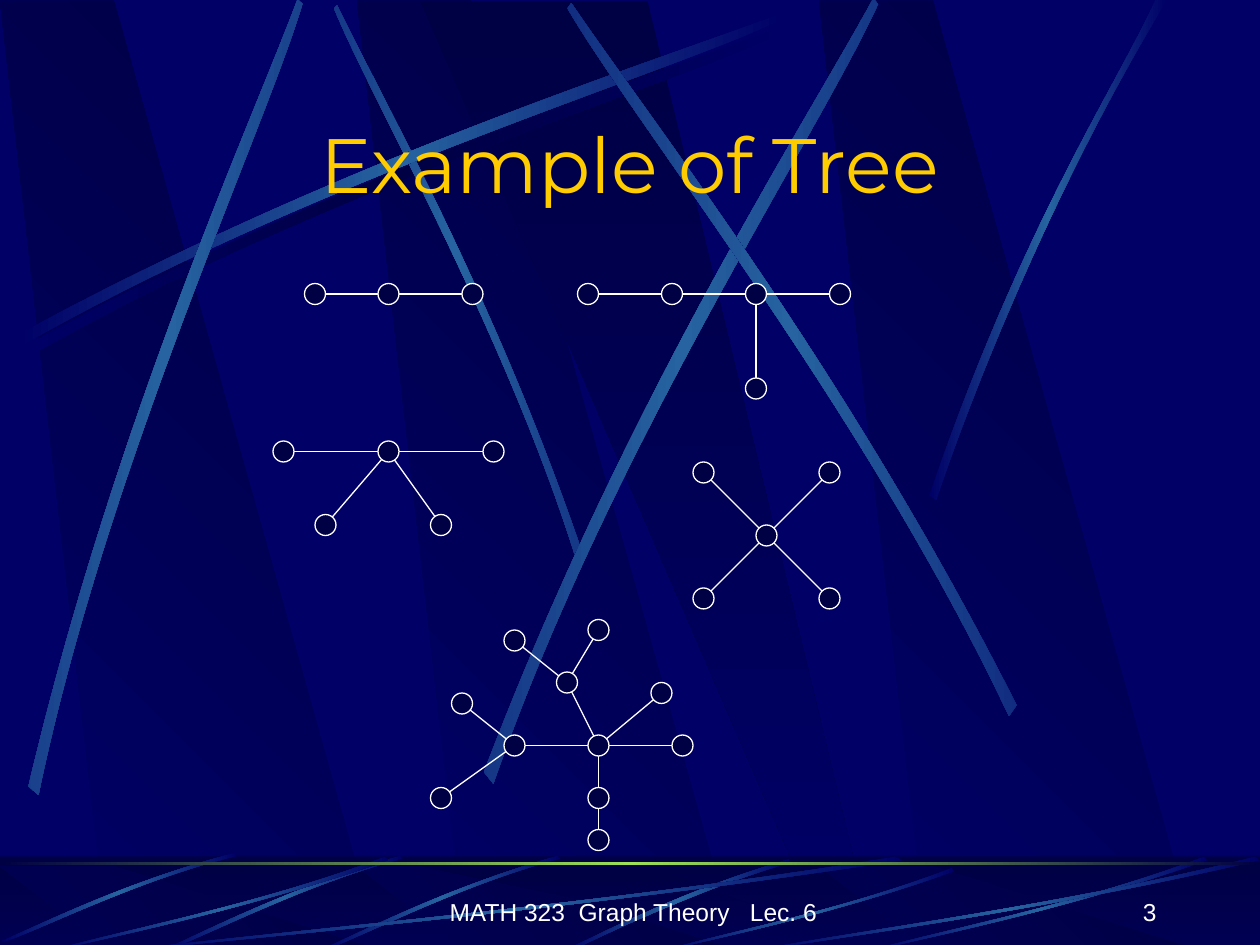
from pptx import Presentation
from pptx.dml.color import RGBColor
from pptx.enum.shapes import MSO_CONNECTOR, MSO_SHAPE
from pptx.enum.text import MSO_ANCHOR, PP_ALIGN
from pptx.oxml import parse_xml
from pptx.oxml.ns import nsdecls, qn
from pptx.util import Pt

NIGHT, DEEP, STEEL, LIME = "000066", "000044", "2663A0", "9CE157"
WHITE, GOLD = "FFFFFF", "FFCC00"
GLOW = (NIGHT, STEEL, NIGHT)
SHADE = (NIGHT, DEEP, NIGHT)

# Outlines as fractions of their box
BEAM = [(0.285, 1), (1, 1), (0.3, 0), (0, 0)]
WEDGE = [(0, 0), (0.9, 1), (1, 1), (0.5, 0)]

# Curved streaks: one Bezier out (4 points) and one back (4 points)
BLADE = [(0, 0.96), (0.43, 0.43), (0.83, 0.15), (1, 0),
         (1, 0.02), (0.84, 0.19), (0.38, 0.5), (0, 1)]
SPIKE = [(0, 0.99), (0.4, 0.44), (0.79, 0.17), (0.95, 0),
         (1, 0), (0.52, 0.37), (0.16, 0.81), (0.03, 1)]
SWEEP = [(0.99, 0), (0.49, 0.37), (0.16, 0.82), (0, 0.99),
         (0.03, 1), (0.23, 0.75), (0.68, 0.25), (1, 0.04)]
REED = [(1, 0.04), (0.57, 0.57), (0.17, 0.85), (0, 1),
        (0, 0.99), (0.17, 0.81), (0.62, 0.51), (0.99, 0)]

# Outline, box, rotation, mirrored, colours
WALL_STREAKS = [
    (BLADE, (14.4, 13, 438, 192), 0, False, SHADE),
    (BLADE, (101.5, 97, 318, 126), 45, True, GLOW),
    (BLADE, (10, 7, 438, 192), 0, False, GLOW),
    (BLADE, (-123, 131, 438, 192), 311.7, False, GLOW),
    (BLADE, (166, 115, 449, 217), 321.6, False, GLOW),
    (BLADE, (232.5, 109.5, 438, 192), 34.8, True, GLOW),
    (SPIKE, (531, 0, 136, 286), 0, False, GLOW),
]
FLOOR_STREAKS = [
    (SWEEP, (322.5, 491, 129.5, 52.5), 0, False, GLOW),
    (BLADE, (186, 486.5, 132.5, 60), 314.9, True, GLOW),
    (BLADE, (96, 486.5, 132.5, 60), 314.9, True, GLOW),
    (BLADE, (3.5, 483, 129, 61), 314.9, True, GLOW),
    (REED, (72, 489.5, 444, 54), 0, False, GLOW),
    (REED, (30, 489.5, 192, 54), 0, False, GLOW),
    (REED, (379.5, 496, 166, 47.5), 0, False, GLOW),
    (REED, (498, 489.5, 192, 54), 0, False, GLOW),
    (REED, (432, 489.5, 288, 54), 0, False, GLOW),
]

# Corner of each tree, its vertex centres, and edges as vertex pairs
TREES = [
    ((174, 162), [(6, 6), (48, 6), (96, 6)], [(0, 2)]),
    ((330, 162), [(6, 6), (54, 6), (102, 6), (150, 6), (102, 60)],
     [(0, 3), (2, 4)]),
    ((156, 252), [(6, 6), (66, 6), (126, 6), (30, 48), (96, 48)],
     [(0, 2), (1, 3), (1, 4)]),
    ((396, 264), [(6, 6), (78, 6), (6, 78), (78, 78), (42, 42)],
     [(0, 3), (2, 1)]),
    ((246, 354),
     [(96, 72), (144, 72), (132, 42), (78, 36), (48, 12), (96, 6),
      (18, 48), (48, 72), (6, 102), (96, 102), (96, 126)],
     [(0, 2), (3, 5), (3, 4), (0, 3), (7, 6), (7, 8), (10, 0), (7, 1)]),
]
VERTEX_SIZE = 12


def color(value):
    return RGBColor.from_string(value)


def fill_gradient(shape, colors, angle):
    """Fill with evenly spaced colours; angle is clockwise in degrees."""
    stops = "".join(
        f'<a:gs pos="{100000 * i // (len(colors) - 1)}"><a:srgbClr val="{c}"/></a:gs>'
        for i, c in enumerate(colors))
    shape.fill.background()
    blank = shape._element.spPr.find(qn("a:noFill"))
    blank.getparent().replace(blank, parse_xml(
        f'<a:gradFill {nsdecls("a")} rotWithShape="0"><a:gsLst>{stops}</a:gsLst>'
        f'<a:lin ang="{angle * 60000}" scaled="0"/></a:gradFill>'))
    shape.line.fill.background()
    shape.shadow.inherit = False


def add_outline(shapes, outline, box, colors, angle):
    left, top, width, height = box
    points = [(Pt(left + u * width), Pt(top + v * height)) for u, v in outline]
    builder = shapes.build_freeform(*points[0], scale=1.0)
    builder.add_line_segments(points[1:], close=True)
    shape = builder.convert_to_shape()
    fill_gradient(shape, colors, angle)
    return shape


def add_streak(shapes, controls, box, rotation, mirrored, colors):
    corners = [(0, 0), (1, 0), (1, 1), (0, 1)]
    shape = add_outline(shapes, corners, box, colors, 0)
    # Bend the outline: a curve out, a short tip, a curve back
    marks = [f'<a:pt x="{round((1 - u if mirrored else u) * shape.width)}" '
             f'y="{round(v * shape.height)}"/>' for u, v in controls]
    outline = shape._element.spPr.find(".//" + qn("a:path"))
    outline.getparent().replace(outline, parse_xml(
        f'<a:path {nsdecls("a")} w="{shape.width}" h="{shape.height}">'
        f'<a:moveTo>{marks[0]}</a:moveTo>'
        f'<a:cubicBezTo>{"".join(marks[1:4])}</a:cubicBezTo>'
        f'<a:lnTo>{marks[4]}</a:lnTo>'
        f'<a:cubicBezTo>{"".join(marks[5:])}</a:cubicBezTo><a:close/></a:path>'))
    shape.rotation = rotation


def add_band(shapes, box):
    return shapes.add_shape(MSO_SHAPE.RECTANGLE, *map(Pt, box))


def add_beams(shapes, top, height):
    for left in (204, 0, 468):
        add_outline(shapes, BEAM, (left, top, 217, height), (NIGHT, DEEP), 315)
    add_outline(shapes, WEDGE, (240, top, 260, height), (DEEP, NIGHT), 90)


def add_wall(shapes):
    add_beams(shapes, 0.5, 541)
    for streak in WALL_STREAKS:
        add_streak(shapes, *streak)


def add_floor(shapes, box):
    left, top, width, height = box
    fill_gradient(add_band(shapes, box), (DEEP, NIGHT), 90)
    add_beams(shapes, top + 5.5, 48)
    # Half-transparent veil over the beams
    veil = add_band(shapes, (left, top - 0.5, width, height))
    veil.fill.solid()
    veil.fill.fore_color.rgb = color(DEEP)
    veil.line.fill.background()
    veil.shadow.inherit = False
    tint = veil._element.spPr.find(qn("a:solidFill"))[0]
    tint.append(parse_xml(f'<a:alpha {nsdecls("a")} val="50000"/>'))
    for streak in FLOOR_STREAKS:
        add_streak(shapes, *streak)
    # Horizon line
    fill_gradient(add_band(shapes, (left, top + 3, width, 1.75)), (DEEP, LIME, DEEP), 0)


def add_backdrop(slide, master):
    """Build the scenery as one group and hand it to the master."""
    master.background.fill.solid()
    master.background.fill.fore_color.rgb = color(NIGHT)
    scenery = slide.shapes.add_group_shape()
    add_wall(scenery.shapes)
    add_floor(scenery.shapes, (0, 489.5, 720, 54))
    master.shapes._spTree.append(scenery._element)


def format_text(shape, text, align, anchor, font, size, ink):
    frame = shape.text_frame
    frame.text = text
    frame.word_wrap = True
    frame.vertical_anchor = anchor
    para = frame.paragraphs[0]
    para.alignment = align
    span = para.runs[0]
    span.font.name, span.font.size = font, Pt(size)
    span.font.color.rgb = color(ink)


def add_footer(slide, box, text, align):
    note = slide.shapes.add_textbox(*map(Pt, box))
    format_text(note, text, align, MSO_ANCHOR.BOTTOM, "Arial", 14, WHITE)


def add_title(slide, box, text):
    title = slide.shapes.title
    title.left, title.top, title.width, title.height = map(Pt, box)
    format_text(title, text, PP_ALIGN.CENTER, MSO_ANCHOR.MIDDLE, "Montserrat", 44, GOLD)


def add_tree(slide, corner, vertices, edges):
    centres = [(corner[0] + x, corner[1] + y) for x, y in vertices]
    for start, end in edges:
        edge = slide.shapes.add_connector(
            MSO_CONNECTOR.STRAIGHT, *map(Pt, centres[start] + centres[end]))
        edge.line.color.rgb = color(WHITE)
        edge.line.width = Pt(0.75)
        edge._element.spPr.append(parse_xml(f'<a:effectLst {nsdecls("a")}/>'))
    for x, y in centres:
        vertex = slide.shapes.add_shape(
            MSO_SHAPE.OVAL, Pt(x - VERTEX_SIZE / 2), Pt(y - VERTEX_SIZE / 2),
            Pt(VERTEX_SIZE), Pt(VERTEX_SIZE))
        vertex.fill.solid()
        vertex.fill.fore_color.rgb = color(DEEP)
        vertex.line.color.rgb = color(WHITE)
        vertex.line.width = Pt(0.75)
        vertex.shadow.inherit = False


def main():
    deck = Presentation()
    deck.slide_width, deck.slide_height = Pt(720), Pt(540)
    slide = deck.slides.add_slide(deck.slide_layouts[5])
    add_backdrop(slide, deck.slide_master)
    # Footer and title
    add_footer(slide, (248, 497, 228, 36), "MATH 323  Graph Theory   Lec. 6", PP_ALIGN.CENTER)
    add_footer(slide, (518, 497, 150, 36), "3", PP_ALIGN.RIGHT)
    add_title(slide, (54, 63, 612, 60), "Example of Tree")
    # Example trees
    for tree in TREES:
        add_tree(slide, *tree)
    deck.save("out.pptx")


if __name__ == "__main__":
    main()
